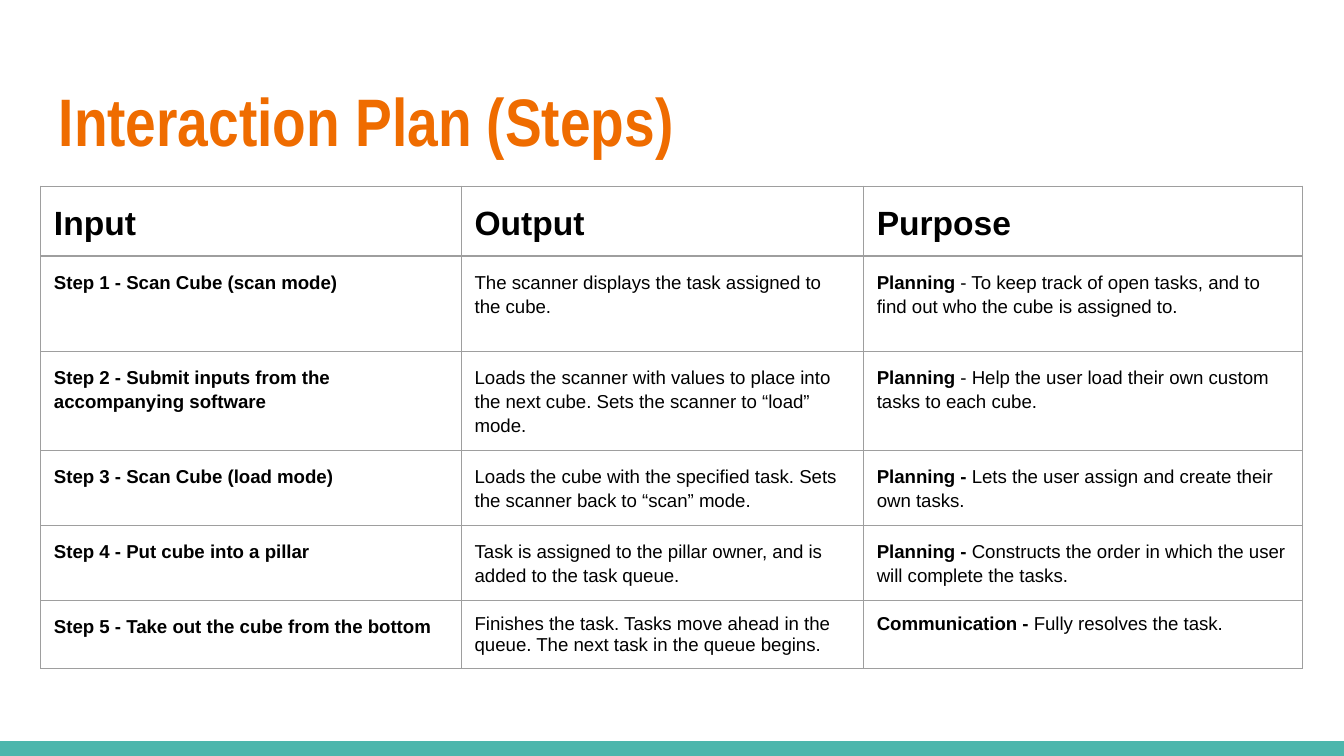
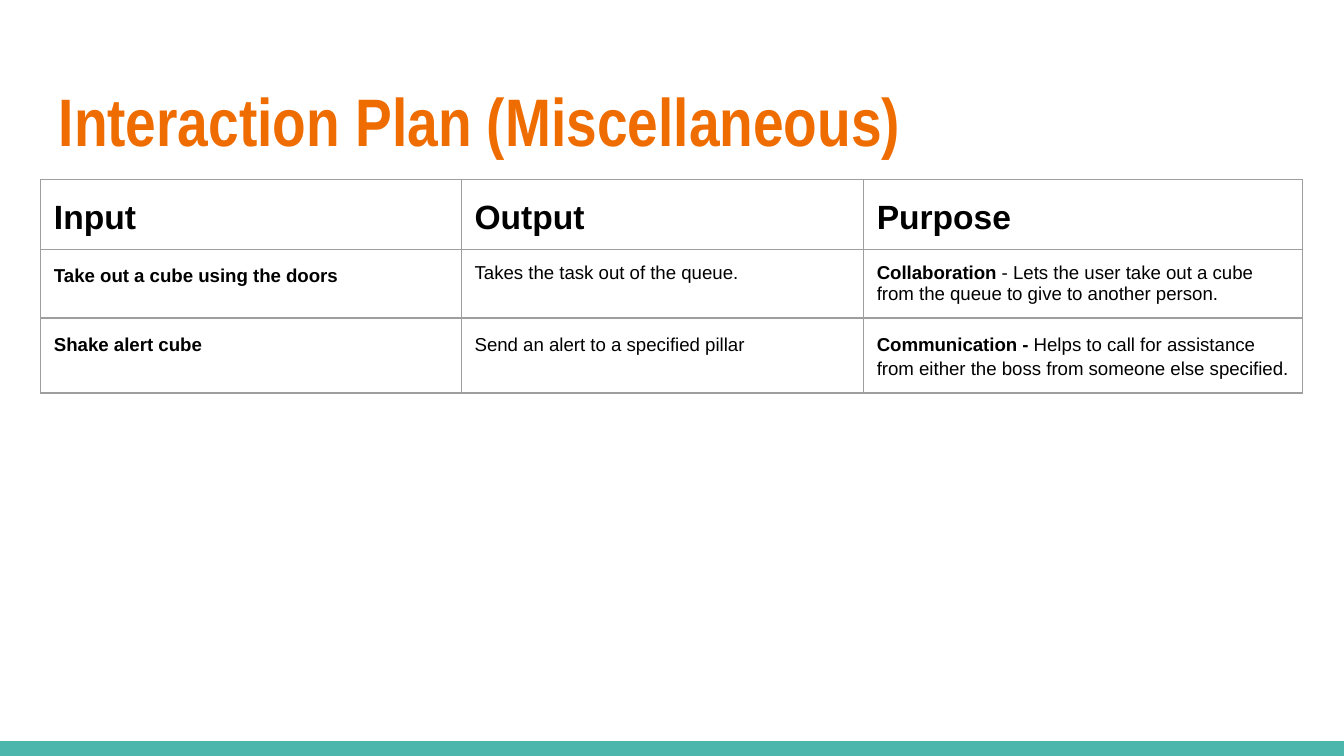
"""Build the two interaction plan slides, each a title above a table."""
from lxml import etree
from pptx import Presentation
from pptx.dml.color import RGBColor
from pptx.enum import shapes, text
from pptx.oxml import ns
from pptx.util import Cm, Pt

ORANGE = RGBColor(0xEF, 0x6C, 0x00)
TEAL = RGBColor(0x4D, 0xB6, 0xAC)
GREY = RGBColor(0x9E, 0x9E, 0x9E)
BLACK = RGBColor(0, 0, 0)
WHITE = RGBColor(0xFF, 0xFF, 0xFF)

WIDTH, HEIGHT, BAND_HEIGHT = Cm(25.4), Cm(14.29), Cm(0.28)
INSET = Cm(0.25)
MARGINS = {f"margin_{side}": INSET for side in ("left", "right", "top", "bottom")}
COLUMNS = (7.95, 7.6, 8.3)
HEADINGS = ("Input", "Output", "Purpose")
HEADING_HEIGHT = 1.32
LOOSE, TIGHT = 1.15, 1.0

TITLE_FONT = {"name": "Arial Narrow", "size": Pt(36), "bold": True}
HEADING_FONT = {"name": "Arial", "size": Pt(18), "bold": True}
STRONG_FONT = {"name": "Arial", "size": Pt(10), "bold": True}
PLAIN_FONT = {**STRONG_FONT, "bold": False}

# Each row: height in cm, line spacing, input, output, purpose lead, purpose.
STEPS = (
    (1.8, LOOSE, "Step 1 - Scan Cube (scan mode)",
     "The scanner displays the task assigned to the cube.",
     "Planning",
     " - To keep track of open tasks, and to find out who the cube is assigned to."),
    (1.87, LOOSE, "Step 2 - Submit inputs from the accompanying software",
     "Loads the scanner with values to place into the next cube. "
     "Sets the scanner to “load” mode.",
     "Planning", " - Help the user load their own custom tasks to each cube."),
    (1.42, LOOSE, "Step 3 - Scan Cube (load mode)",
     "Loads the cube with the specified task. Sets the scanner back to “scan” mode.",
     "Planning - ", "Lets the user assign and create their own tasks."),
    (1.42, LOOSE, "Step 4 - Put cube into a pillar",
     "Task is assigned to the pillar owner, and is added to the task queue.",
     "Planning - ",
     "Constructs the order in which the user will complete the tasks."),
    (1.29, TIGHT, "Step 5 - Take out the cube from the bottom",
     "Finishes the task. Tasks move ahead in the queue. "
     "The next task in the queue begins.",
     "Communication - ", "Fully resolves the task."),
)
MISCELLANEOUS = (
    (1.29, TIGHT, "Take out a cube using the doors",
     "Takes the task out of the queue.",
     "Collaboration",
     " - Lets the user take out a cube from the queue to give to another person."),
    (1.42, LOOSE, "Shake alert cube",
     "Send an alert to a specified pillar",
     "Communication -",
     " Helps to call for assistance from either the boss from someone else specified."),
)


def apply(target, values):
    """Set every attribute named in values on the target."""
    for name, value in values.items():
        setattr(target, name, value)


def add_span(para, words, font, color=BLACK):
    """Append a formatted run to a paragraph."""
    span = para.add_run()
    span.text = words
    apply(span.font, font)
    span.font.color.rgb = color


def add_title(page, words):
    """Place and format the slide title."""
    box = page.shapes.title
    apply(box, {"left": Cm(0.86), "top": Cm(1.24),
                "width": Cm(23.67), "height": Cm(1.96)})
    apply(box.text_frame, {**MARGINS, "word_wrap": True,
                           "auto_size": text.MSO_AUTO_SIZE.NONE,
                           "vertical_anchor": text.MSO_ANCHOR.TOP})
    para = box.text_frame.paragraphs[0]
    para.alignment = text.PP_ALIGN.LEFT
    add_span(para, words, TITLE_FONT, ORANGE)


def add_band(page):
    """Draw the teal band along the bottom edge."""
    band = page.shapes.add_shape(shapes.MSO_SHAPE.RECTANGLE, 0,
                                 HEIGHT - BAND_HEIGHT, WIDTH, BAND_HEIGHT)
    band.shadow.inherit = False
    band.fill.solid()
    band.fill.fore_color.rgb = TEAL
    band.line.fill.background()


def add_borders(cell):
    """Give a cell a thin grey line on all four sides."""
    properties = cell._tc.get_or_add_tcPr()
    for place, side in enumerate("LRTB"):
        line = etree.Element(ns.qn(f"a:ln{side}"), w=str(Pt(0.75)))
        fill = etree.SubElement(line, ns.qn("a:solidFill"))
        etree.SubElement(fill, ns.qn("a:srgbClr"), val=str(GREY))
        properties.insert(place, line)


def fill_cell(cell, spans, spacing):
    """Write (words, font) spans into a bordered, unfilled cell."""
    apply(cell, {**MARGINS, "vertical_anchor": text.MSO_ANCHOR.TOP})
    cell.fill.background()
    add_borders(cell)
    para = cell.text_frame.paragraphs[0]
    para.line_spacing = spacing
    for words, font in spans:
        add_span(para, words, font)


def add_plan(page, top, rows):
    """Add the table of inputs, outputs and purposes."""
    heights = [HEADING_HEIGHT] + [row[0] for row in rows]
    table = page.shapes.add_table(len(heights), len(COLUMNS), Cm(0.77), Cm(top),
                                  Cm(sum(COLUMNS)), Cm(sum(heights))).table
    apply(table, {"first_row": False, "horz_banding": False})
    for column, width in zip(table.columns, COLUMNS):
        column.width = Cm(width)
    for row, height in zip(table.rows, heights):
        row.height = Cm(height)
    for column, heading in enumerate(HEADINGS):
        fill_cell(table.cell(0, column), [(heading, HEADING_FONT)], LOOSE)
    for index, (_, spacing, action, output, lead, purpose) in enumerate(rows, 1):
        fill_cell(table.cell(index, 0), [(action, STRONG_FONT)], LOOSE)
        fill_cell(table.cell(index, 1), [(output, PLAIN_FONT)], spacing)
        fill_cell(table.cell(index, 2),
                  [(lead, STRONG_FONT), (purpose, PLAIN_FONT)], spacing)


def add_page(deck, title, top, rows):
    """Add one slide with its title, table and band."""
    page = deck.slides.add_slide(deck.slide_layouts[5])
    page.background.fill.solid()
    page.background.fill.fore_color.rgb = WHITE
    add_band(page)
    add_title(page, title)
    add_plan(page, top, rows)


def main():
    """Build and save the deck."""
    deck = Presentation()
    apply(deck, {"slide_width": WIDTH, "slide_height": HEIGHT})
    add_page(deck, "Interaction Plan (Steps)", 3.52, STEPS)
    add_page(deck, "Interaction Plan (Miscellaneous)", 3.4, MISCELLANEOUS)
    deck.save("out.pptx")


if __name__ == "__main__":
    main()
